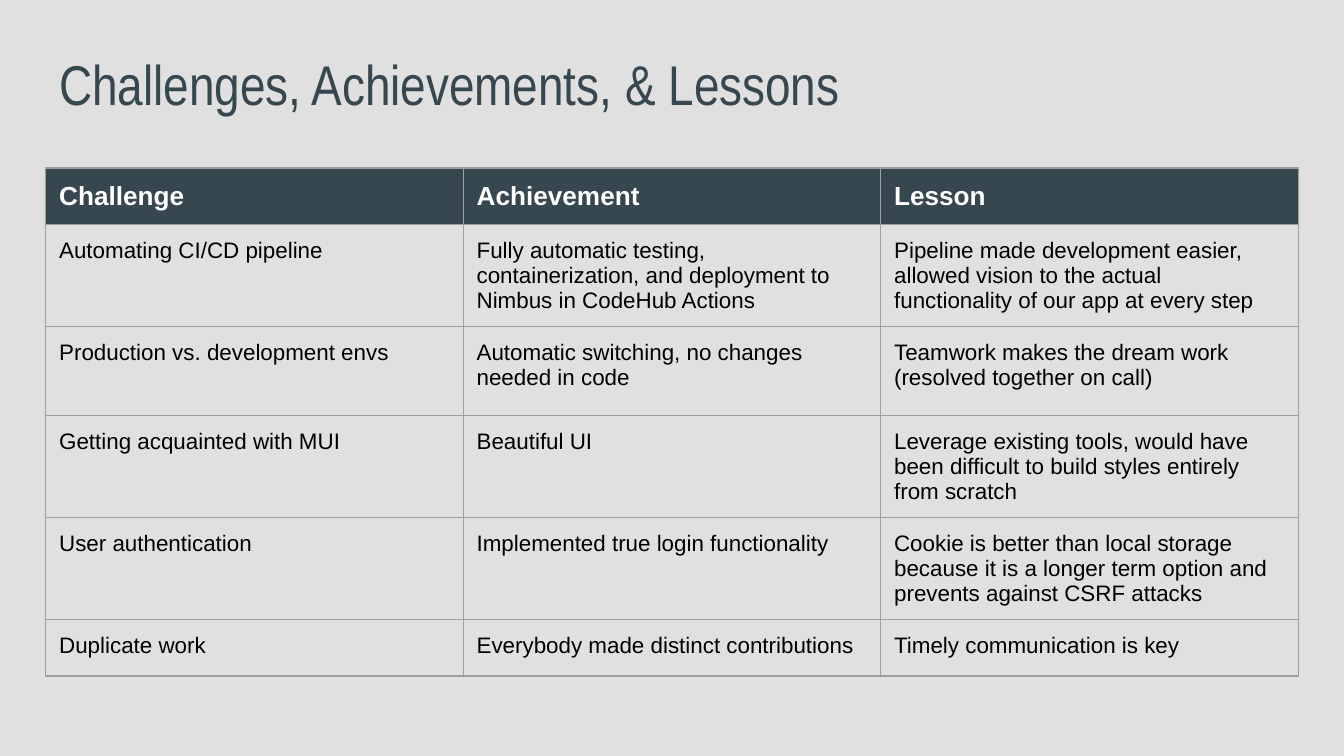
from dataclasses import dataclass

from lxml.etree import SubElement
from pptx import Presentation
from pptx.dml.color import RGBColor
from pptx.enum.text import MSO_ANCHOR, MSO_AUTO_SIZE, PP_ALIGN
from pptx.oxml.ns import qn
from pptx.util import Inches, Pt


@dataclass(frozen=True)
class Theme:
    background: str = "E0E0E0"
    slate: str = "37474F"
    white: str = "FFFFFF"
    ink: str = "000000"
    rule: str = "9E9E9E"
    rule_width: float = 0.75
    title_font: str = "Arial Narrow"
    body_font: str = "Arial"
    title_size: int = 30
    header_size: int = 14
    body_size: int = 12
    inset: float = 0.1


THEME = Theme()
LEFT, WIDTH = 0.34, 9.32
ROW_HEIGHTS = (0.42, 0.42, 0.66, 0.44, 0.44, 0.42)

HEADINGS = ("Challenge", "Achievement", "Lesson")
FINDINGS = (
    ("Automating CI/CD pipeline",
     "Fully automatic testing, containerization, and deployment to Nimbus in CodeHub Actions",
     "Pipeline made development easier, allowed vision to the actual "
     "functionality of our app at every step"),
    ("Production vs. development envs",
     "Automatic switching, no changes needed in code",
     "Teamwork makes the dream work (resolved together on call)"),
    ("Getting acquainted with MUI",
     "Beautiful UI",
     "Leverage existing tools, would have been difficult to build styles "
     "entirely from scratch"),
    ("User authentication",
     "Implemented true login functionality",
     "Cookie is better than local storage because it is a longer term "
     "option and prevents against CSRF attacks"),
    ("Duplicate work",
     "Everybody made distinct contributions",
     "Timely communication is key"),
)


def write_text(frame, text, *, size, color, font=THEME.body_font, bold=False):
    frame.word_wrap = True
    paragraph = frame.paragraphs[0]
    paragraph.alignment = PP_ALIGN.LEFT
    run = paragraph.add_run()
    run.text = text
    run.font.name = font
    run.font.size = Pt(size)
    run.font.bold = bold
    run.font.color.rgb = RGBColor.from_string(color)


def set_insets(holder):
    holder.margin_left = holder.margin_right = Inches(THEME.inset)
    holder.margin_top = holder.margin_bottom = Inches(THEME.inset)


def add_title(slide, text):
    title = slide.shapes.title
    title.left, title.top = Inches(LEFT), Inches(0.27)
    title.width, title.height = Inches(WIDTH), Inches(0.63)
    frame = title.text_frame
    frame.auto_size = MSO_AUTO_SIZE.NONE
    frame.vertical_anchor = MSO_ANCHOR.TOP
    set_insets(frame)
    write_text(frame, text, size=THEME.title_size, color=THEME.slate,
               font=THEME.title_font)


def outline_cell(cell):
    properties = cell._tc.get_or_add_tcPr()
    for side in ("a:lnL", "a:lnR", "a:lnT", "a:lnB"):
        line = SubElement(properties, qn(side), w=str(Pt(THEME.rule_width)))
        fill = SubElement(line, qn("a:solidFill"))
        SubElement(fill, qn("a:srgbClr"), val=THEME.rule)


def format_cell(cell, text, *, is_header):
    set_insets(cell)
    cell.vertical_anchor = MSO_ANCHOR.TOP
    # Borders come before the fill in the cell's properties
    outline_cell(cell)
    if is_header:
        cell.fill.solid()
        cell.fill.fore_color.rgb = RGBColor.from_string(THEME.slate)
        write_text(cell.text_frame, text, size=THEME.header_size,
                   color=THEME.white, bold=True)
    else:
        cell.fill.background()
        write_text(cell.text_frame, text, size=THEME.body_size, color=THEME.ink)


def add_findings_table(slide):
    rows = (HEADINGS, *FINDINGS)
    table = slide.shapes.add_table(
        len(rows), len(HEADINGS), Inches(LEFT), Inches(1.25),
        Inches(WIDTH), Inches(sum(ROW_HEIGHTS))).table
    table.horz_banding = False
    for row, height in zip(table.rows, ROW_HEIGHTS):
        row.height = Inches(height)
    for r, texts in enumerate(rows):
        for c, text in enumerate(texts):
            format_cell(table.cell(r, c), text, is_header=r == 0)


def main():
    deck = Presentation()
    # Widescreen, 16:9
    deck.slide_width = Inches(10)
    deck.slide_height = deck.slide_width * 9 // 16
    slide = deck.slides.add_slide(deck.slide_layouts.get_by_name("Title Only"))

    # Background
    slide.background.fill.solid()
    slide.background.fill.fore_color.rgb = RGBColor.from_string(THEME.background)

    # Content
    add_title(slide, "Challenges, Achievements, & Lessons")
    add_findings_table(slide)

    deck.save("out.pptx")


if __name__ == "__main__":
    main()
